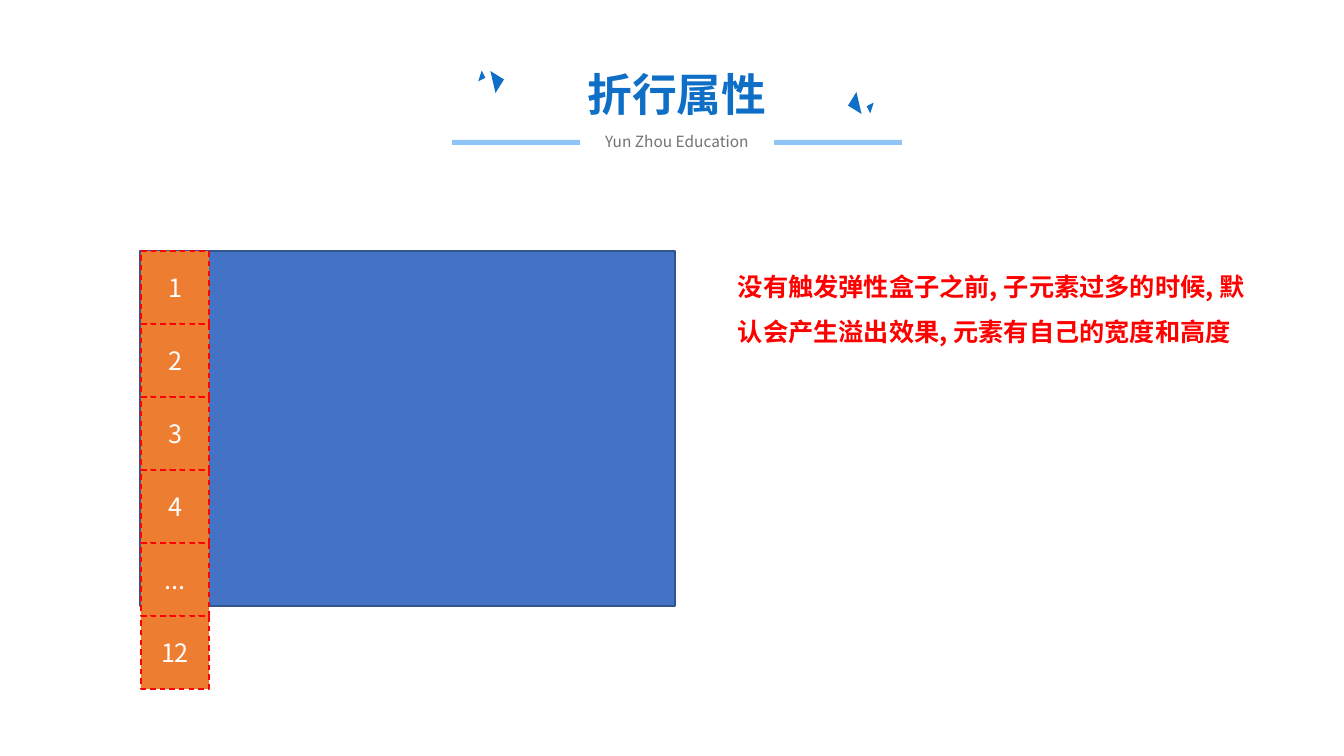
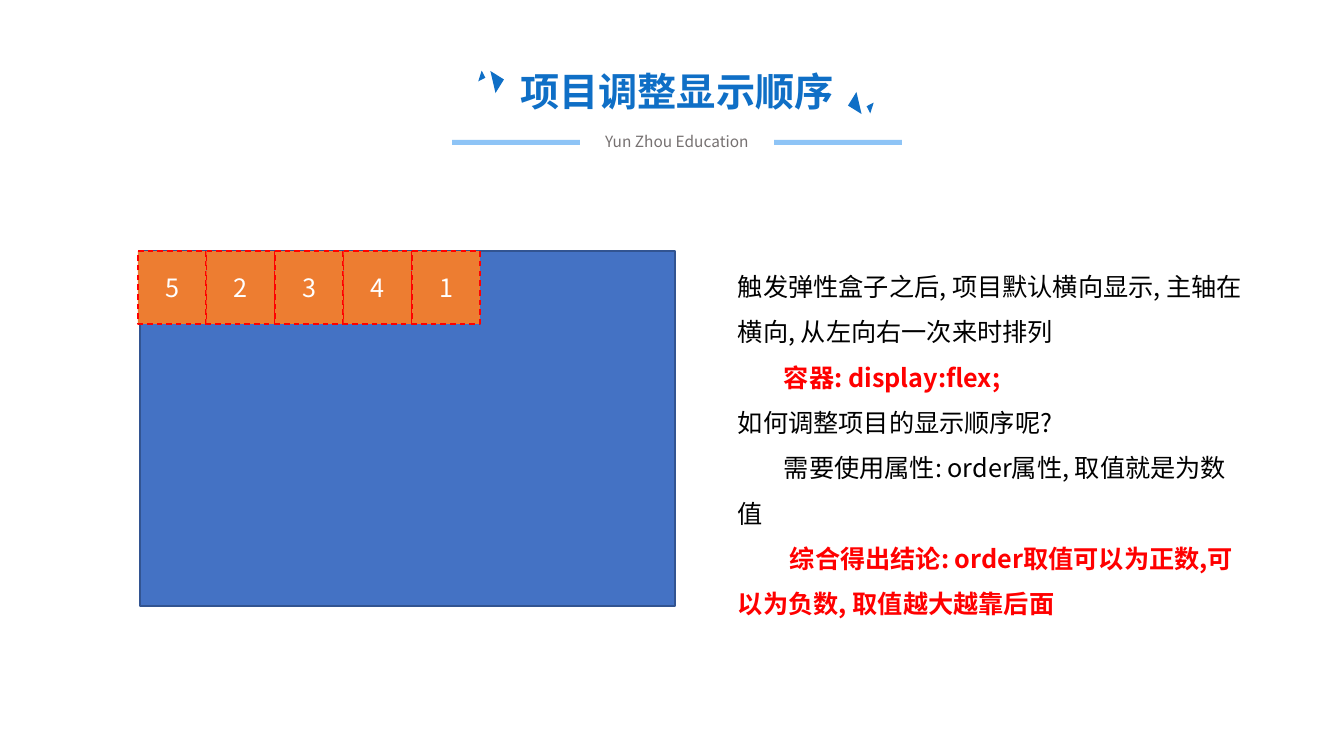
from lxml import etree
from pptx import Presentation
from pptx.dml.color import RGBColor
from pptx.enum import dml, shapes, text
from pptx.oxml import ns
from pptx.util import Pt

PX = 914400 / 100.8
FONT = "Noto Sans CJK SC"
BLUE, SKY, GREY = "0F6FC6", "8EC4F6", "767171"
PANEL, EDGE, CELL = "4472C4", "325491", "ED7D31"
RED, BLACK, WHITE = "FF0000", "000000", "FFFFFF"
RECT = shapes.MSO_SHAPE.RECTANGLE
TRI = shapes.MSO_SHAPE.RIGHT_TRIANGLE
MID = text.PP_ALIGN.CENTER

# Shared header: bars, then triangles as (box, rotation)
BRAND = "Yun Zhou Education"
BARS = [(452, 140, 128, 5), (774, 140, 128, 5)]
TRIS = [
    ((485, 74, 16, 16), 211.9),
    ((476, 72, 8, 8), 242.5),
    ((851, 95, 16, 16), 31.9),
    ((868, 104, 8, 8), 62.5),
]
FRAME = (140, 251, 535, 355)
CELL_W, CELL_H = 68, 73

PLAIN = {"size": Pt(18), "bold": False}
STRONG = {"size": Pt(18), "bold": True}

# Cells run evenly from the first corner to the last
# Body: (text, first-line indent, colour, format)
SLIDES = [
    {
        "title": "折行属性", "size": 32,
        "cells": ["1", "2", "3", "4", "...", "12"],
        "first": (141, 251), "last": (141, 616),
        "body": [
            ("没有触发弹性盒子之前, 子元素过多的时候, 默认会产生溢出效果, "
             "元素有自己的宽度和高度", 0, RED, STRONG),
        ],
        "high": 102,
    },
    {
        "title": "项目调整显示顺序", "size": 28,
        "cells": ["5", "2", "3", "4", "1"],
        "first": (138, 251), "last": (412, 251),
        "body": [
            ("触发弹性盒子之后, 项目默认横向显示, 主轴在横向, "
             "从左向右一次来时排列", 0, BLACK, PLAIN),
            ("容器: display:flex;", 46, RED, STRONG),
            ("如何调整项目的显示顺序呢?", 0, BLACK, PLAIN),
            ("需要使用属性: order属性, 取值就是为数值", 46, BLACK, PLAIN),
            ("综合得出结论: order取值可以为正数,可以为负数, "
             "取值越大越靠后面", 52, RED, STRONG),
        ],
        "high": 376,
    },
]


def emu(box):
    return [round(n * PX) for n in box]


def rgb(code):
    return RGBColor.from_string(code)


def write(para, words, color, form):
    run = para.add_run()
    run.text = words
    for key, val in form.items():
        setattr(run.font, key, val)
    run.font.color.rgb = rgb(color)
    run.font.name = FONT
    # East Asian characters take their own font entry
    etree.SubElement(run.font._element, ns.qn("a:ea"), typeface=FONT)


def shape(slide, kind, box, fill, line=None, turn=0):
    item = slide.shapes.add_shape(kind, *emu(box))
    item.shadow.inherit = False
    item.rotation = turn
    item.fill.solid()
    item.fill.fore_color.rgb = rgb(fill)
    if line:
        item.line.color.rgb = rgb(line)
        item.line.width = Pt(1)
    else:
        item.line.fill.background()
    return item


def label(slide, box, words, color, form):
    """Add one centred line of text that does not wrap."""
    frame = slide.shapes.add_textbox(*emu(box)).text_frame
    frame.word_wrap = False
    para = frame.paragraphs[0]
    para.alignment = MID
    write(para, words, color, form)


def header(slide, title, size):
    label(slide, (510, 62, 334, 2 * size), title, BLUE,
          {"size": Pt(size), "bold": True})
    for box, turn in TRIS:
        shape(slide, TRI, box, BLUE, turn=turn)
    label(slide, (587, 127, 180, 29), BRAND, GREY, {"size": Pt(11)})
    for box in BARS:
        shape(slide, RECT, box, SKY)


def cells(slide, names, first, last):
    gaps = len(names) - 1
    for i, name in enumerate(names):
        x, y = (a + (b - a) * i / gaps for a, b in zip(first, last))
        item = shape(slide, RECT, (x, y, CELL_W, CELL_H), CELL, RED)
        item.line.dash_style = dml.MSO_LINE.DASH
        item.text_frame.vertical_anchor = text.MSO_ANCHOR.MIDDLE
        para = item.text_frame.paragraphs[0]
        para.alignment = MID
        write(para, name, WHITE, PLAIN)


def body(slide, rows, high):
    frame = slide.shapes.add_textbox(*emu((728, 251, 530, high))).text_frame
    frame.word_wrap = True
    for i, (words, indent, color, form) in enumerate(rows):
        para = frame.add_paragraph() if i else frame.paragraphs[0]
        para.line_spacing = 1.5
        if indent:
            props = para._p.get_or_add_pPr()
            props.set("marL", "0")
            props.set("indent", str(round(indent * PX)))
        write(para, words, color, form)


def main():
    deck = Presentation()
    deck.slide_width, deck.slide_height = emu((1344, 756))
    for page in SLIDES:
        slide = deck.slides.add_slide(deck.slide_layouts[6])
        header(slide, page["title"], page["size"])
        body(slide, page["body"], page["high"])
        shape(slide, RECT, FRAME, PANEL, EDGE)
        cells(slide, page["cells"], page["first"], page["last"])
    deck.save("out.pptx")


if __name__ == "__main__":
    main()
